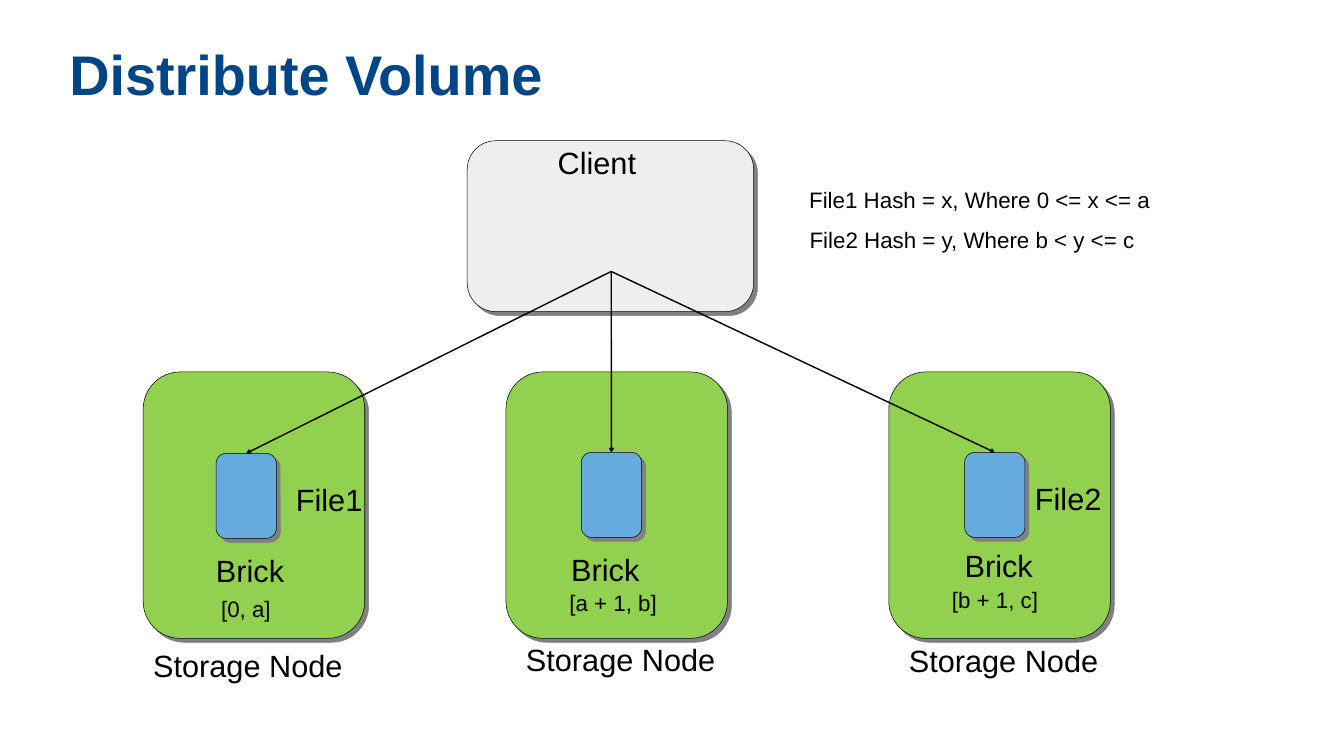
"""Build the Distribute Volume slide on a grid of 107 columns by 60 rows."""
from lxml import etree
from pptx import Presentation, util as u
from pptx.dml.color import RGBColor
from pptx.enum import shapes, text
from pptx.oxml.ns import qn

prs = Presentation()
prs.slide_width, prs.slide_height = u.Inches(26.75), u.Inches(15)
cell = prs.slide_width / 107
s = prs.slides.add_slide(prs.slide_layouts[6])
color = RGBColor.from_string


def add_box(x, y, w, h, fill):
    sp = s.shapes.add_shape(shapes.MSO_SHAPE.ROUNDED_RECTANGLE,
                            *(round(v * cell) for v in (x, y, w, h)))
    sp.shadow.inherit = False
    sp.fill.solid()
    sp.fill.fore_color.rgb = color(fill)
    sp.line.color.rgb = color("000000")
    sp.line.width = u.Pt(0.75)
    effects = sp._element.spPr.find(qn("a:effectLst"))
    shadow = etree.SubElement(effects, qn("a:outerShdw"), blurRad="0",
                              dist=str(u.Pt(8)), dir="2700000", algn="tl", rotWithShape="0")
    etree.SubElement(shadow, qn("a:srgbClr"), val="808080")
    return sp


def add_label(x, y, w, h, words, size=44, align=text.PP_ALIGN.LEFT):
    sp = s.shapes.add_textbox(*(round(v * cell) for v in (x, y, w, h)))
    tf = sp.text_frame
    tf.word_wrap = True
    tf.text = words
    p = tf.paragraphs[0]
    p.alignment = align
    r = p.runs[0]
    r.font.name, r.font.size = "Arial", u.Pt(size)
    r.font.color.rgb = color("000000")
    return sp


title = add_label(5.52, 0.8, 96.08, 10, "Distribute Volume", 80)
tf = title.text_frame
tf.margin_left = tf.margin_right = tf.margin_top = tf.margin_bottom = 0
tf.vertical_anchor = text.MSO_ANCHOR.MIDDLE
font = tf.paragraphs[0].runs[0].font
font.bold = True
font.color.rgb = color("004586")

add_box(37.2, 11.2, 22.8, 13.6, "EEEEEE")
add_label(44, 11.28, 16.44, 3.12, "Client")

nodes = [
    (11.4, (17.2, 36.08), (11.8, 51.28), (16.8, 43.68), (15.56, 47.2), "[0, a]"),
    (40.28, (46.28, 36), (41.48, 50.8), (45.08, 43.6), (44.8, 46.72), "[a + 1, b]"),
    (70.76, (76.8, 36), (71.96, 50.88), (76.4, 43.28), (75.2, 46.48), "[b + 1, c]"),
]
for left, brick_at, node_at, name_at, range_at, hash_range in nodes:
    add_box(left, 29.6, 17.64, 21.2, "92D050")
    brick = add_box(*brick_at, 4.8, 6.76, "65ABDE")
    add_label(*node_at, 16.44, 3.12, "Storage Node")
    add_label(*name_at, 6.84, 3.12, "Brick")
    add_label(*range_at, 8.04, 3.12, hash_range, 32, text.PP_ALIGN.CENTER)

    arrow = s.shapes.add_connector(shapes.MSO_CONNECTOR.STRAIGHT,
                                   round(48.66 * cell), round(21.6 * cell), 0, 0)
    arrow.end_connect(brick, 0)
    arrow.line.color.rgb = color("000000")
    arrow.line.width = u.Pt(0)
    etree.SubElement(arrow.line._get_or_add_ln(), qn("a:tailEnd"), type="arrow")
    etree.SubElement(arrow._element.spPr, qn("a:effectLst"))

for x, y, words in [(23.16, 38.08, "File1"), (82, 38, "File2")]:
    add_label(x, y, 6.84, 3.12, words)

for x, y, w, words in [(62.4, 14.6, 31.2, "File1 Hash = x, Where 0 <= x <= a"),
                       (63.2, 17.8, 28.4, "File2 Hash = y, Where b < y <= c")]:
    add_label(x, y, w, 2.4, words, 32, text.PP_ALIGN.CENTER)

prs.save("out.pptx")
